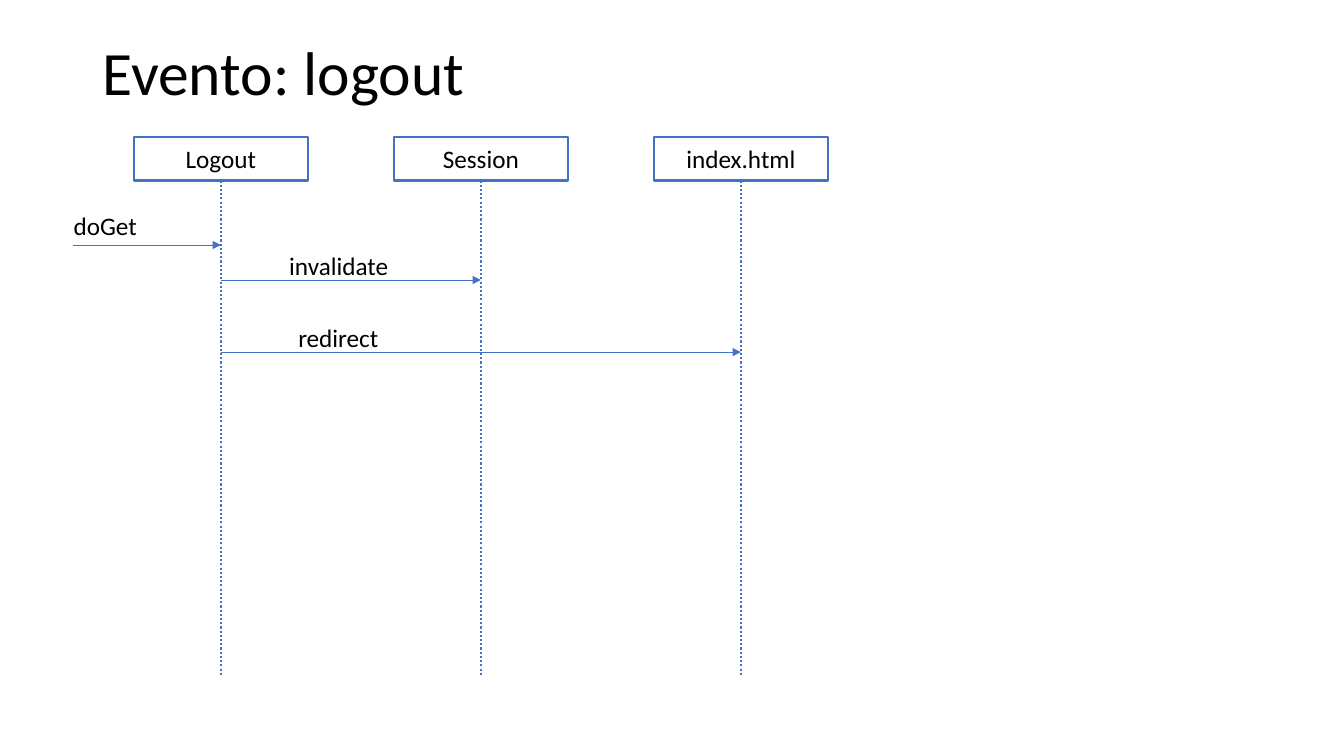
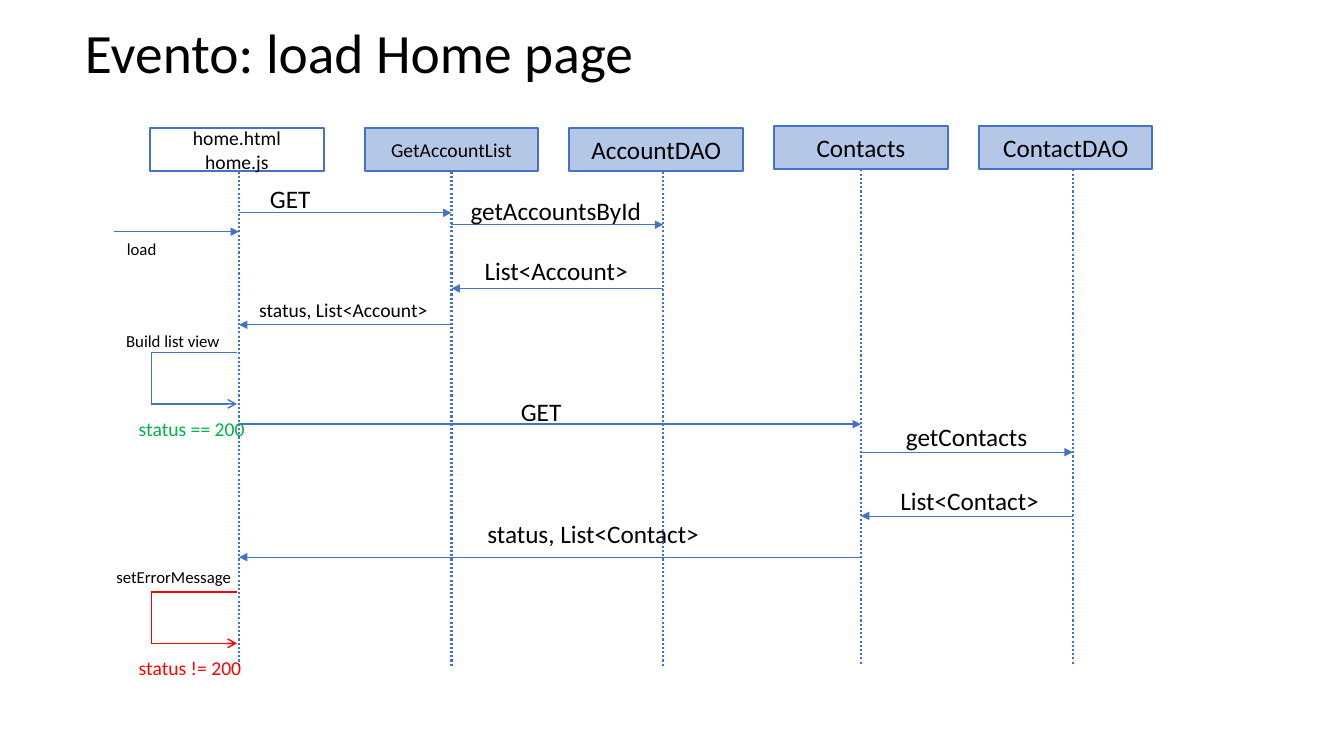
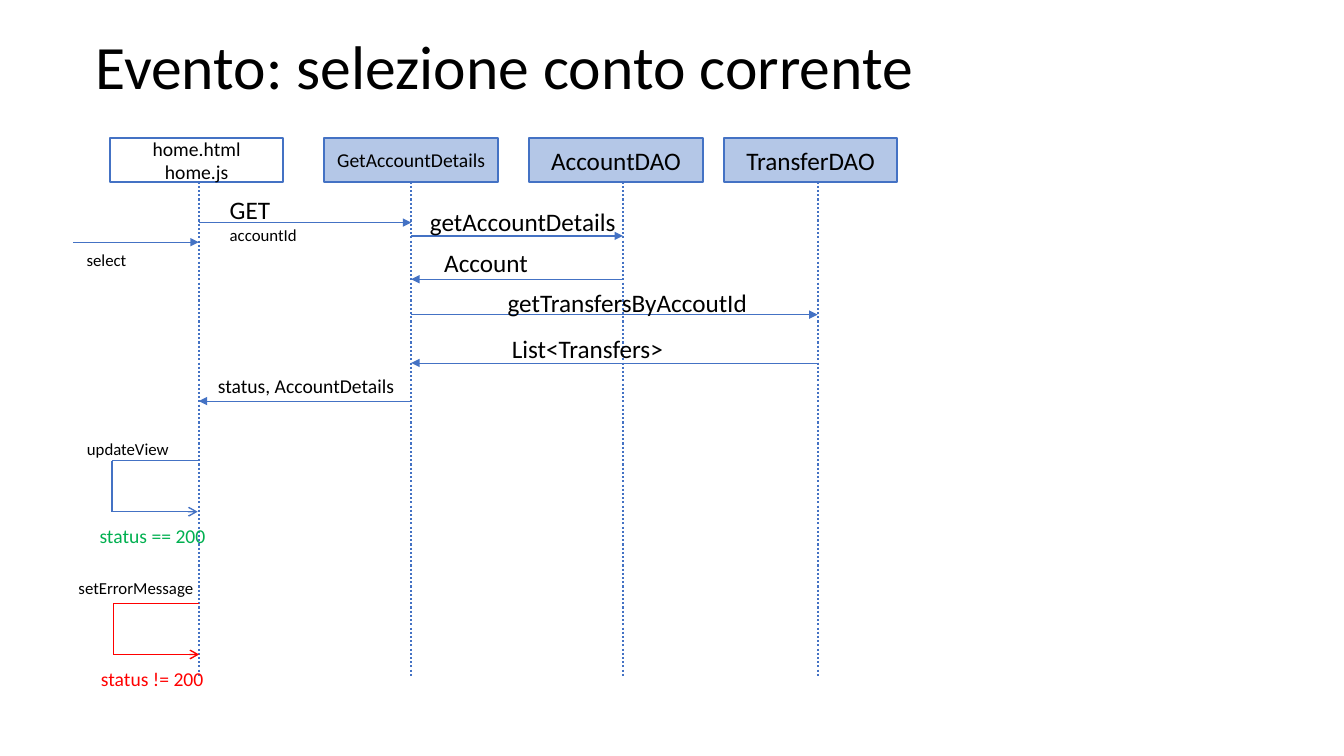
from lxml import etree
from pptx import Presentation
from pptx.dml.color import RGBColor
from pptx.enum.dml import MSO_LINE
from pptx.enum.shapes import MSO_CONNECTOR, MSO_SHAPE
from pptx.enum.text import MSO_ANCHOR, MSO_AUTO_SIZE, PP_ALIGN
from pptx.oxml.ns import qn
from pptx.util import Pt

STRAIGHT = MSO_CONNECTOR.STRAIGHT
RECTANGLE = MSO_SHAPE.RECTANGLE
DOTTED = MSO_LINE.ROUND_DOT
MIDDLE = MSO_ANCHOR.MIDDLE
LEFT, CENTER = PP_ALIGN.LEFT, PP_ALIGN.CENTER
FIXED, GROW = MSO_AUTO_SIZE.NONE, MSO_AUTO_SIZE.SHAPE_TO_FIT_TEXT

FONT = "Calibri"
BLACK, BLUE, PALE, RED, GREEN = "000000", "4472C4", "B4C7E7", "FF0000", "00B050"
BOX_WIDTH, BOX_HEIGHT, LIFELINE_LENGTH = 124, 31, 353.5
LOOP_WIDTH, LOOP_HEIGHT = 61.25, 36.5
BOTTOM_SIDE = 2
OUTSIDE = None

# Outcome: guard text, colour, offset of the action label from the loop corner
SUCCESS = ("status == 200", GREEN, (-25, -19))
FAILURE = ("status != 200", RED, (-32, -22))

# title: text, left, top, height, size
# participants: text, left, top, lifeline offset from the box centre, fill, size
# messages: sender, receiver, y, line width, label
# label: text, left, top, width, size and, if it differs, size of further lines
# loops: left, top, outcome, action, action width
DIAGRAMS = [
    {
        "title": ("Evento: logout", 66, 16.5, 75, 44),
        "entry": 52.5,
        "participants": [
            ("Logout", 95.75, 98, 0, None, 18),
            ("Session", 281.5, 98, 0, None, 18),
            ("index.html", 467.25, 98, 0, None, 18),
        ],
        "messages": [
            (OUTSIDE, 0, 175, 0.5, ("doGet", 45.5, 147, 60.5, 18)),
            (0, 1, 200, 0.5, ("invalidate", 199.5, 175, 86.5, 18)),
            (0, 2, 251.5, 0.5, ("redirect", 206, 227, 72.5, 18)),
        ],
        "loops": [],
    },
    {
        "title": ("Evento: load Home page", 53.5, 13.5, 52, 39.6),
        "entry": 81.5,
        "participants": [
            ("home.html\nhome.js", 107.25, 91.5, 1.5, None, 14),
            ("GetAccountList", 260.5, 91.5, 0, PALE, 14),
            ("AccountDAO", 406.75, 91.5, 5, PALE, 18),
            ("Contacts", 553, 90, 0, PALE, 18),
            ("ContactDAO", 699.25, 90, 5, PALE, 18),
        ],
        "messages": [
            (OUTSIDE, 0, 165.5, 0.5, ("load", 83.5, 167, 36, 12)),
            (0, 1, 152, 1, ("GET", 185.75, 127.5, 52, 18)),
            (1, 2, 160.5, 1, ("getAccountsById", 329, 136, 137.5, 18)),
            (2, 1, 206, 0.5, ("List<Account>", 339, 179, 118, 18)),
            (1, 0, 232, 0.5, ("status, List<Account>", 178, 209.5, 136, 14)),
            (0, 3, 303, 1, ("GET", 365, 279.5, 52, 18)),
            (3, 4, 323, 0.5, ("getContacts", 640, 297.5, 106, 18)),
            (4, 3, 368.5, 0.5, ("List<Contact>", 636, 343, 120, 18)),
            (3, 0, 398, 0.5, ("status, List<Contact>", 341, 367, 211.5, 18)),
        ],
        "loops": [
            (108, 252, SUCCESS, "Build list view", 82),
            (108, 423, FAILURE, "setErrorMessage", 97),
        ],
    },
    {
        "title": ("Evento: selezione conto corrente", 61, 17, 65, 44),
        "entry": 52.5,
        "participants": [
            ("home.html\nhome.js", 78.5, 98.75, 1.5, None, 14),
            ("GetAccountDetails", 231.75, 98.75, 0, PALE, 14),
            ("AccountDAO", 378, 98.75, 5, PALE, 18),
            ("TransferDAO", 517, 98.75, 5, PALE, 18),
        ],
        "messages": [
            (OUTSIDE, 0, 173, 0.5, ("select", 54.75, 174.5, 43, 12)),
            (0, 1, 159, 1, ("GET\naccountId", 157, 135.25, 71, 18, 12)),
            (1, 2, 168.5, 1, ("getAccountDetails", 300, 144, 148.5, 18)),
            (2, 1, 199.5, 0.5, ("Account", 310.25, 173, 75, 18)),
            (1, 3, 224.75, 0.5, ("getTransfersByAccoutId", 355.5, 201.5, 187, 18)),
            (3, 1, 259.25, 0.5, ("List<Transfers>", 358.5, 234.75, 124, 18)),
            (1, 0, 286.5, 0.5, ("status, AccountDetails", 148.5, 263.5, 142, 14)),
        ],
        "loops": [
            (80, 329, SUCCESS, "updateView", 73.5),
            (81, 431, FAILURE, "setErrorMessage", 97),
        ],
    },
]


def rgb(color):
    return RGBColor.from_string(color)


def write_text(frame, text, size, color=BLACK, align=LEFT, detail_size=None):
    """Write one paragraph a line; lines after the first may have their own size."""
    for number, line in enumerate(text.split("\n")):
        para = frame.add_paragraph() if number else frame.paragraphs[0]
        para.text = line
        para.alignment = align
        para.font.name = FONT
        para.font.size = Pt(detail_size if number and detail_size else size)
        para.font.color.rgb = rgb(color)


def add_line(shapes, start, end, color, width, head=None):
    line = shapes.add_connector(STRAIGHT, *(Pt(value) for value in start + end))
    line.line.color.rgb = rgb(color)
    line.line.width = Pt(width)
    if head:
        etree.SubElement(line.line._get_or_add_ln(), qn("a:tailEnd"), type=head)
    etree.SubElement(line._element.spPr, qn("a:effectLst"))
    return line


def add_title(page, text, left, top, height, size):
    title = page.shapes.title
    title.left, title.top = Pt(left), Pt(top)
    title.width, title.height = Pt(828), Pt(height)
    frame = title.text_frame
    frame.auto_size = FIXED
    frame.vertical_anchor = MIDDLE
    write_text(frame, text, size)
    frame.paragraphs[0].line_spacing = 0.9


def add_label(page, text, left, top, width, size, detail_size=None, color=BLACK):
    height = 7.2 + 1.2 * size
    box = page.shapes.add_textbox(Pt(left), Pt(top), Pt(width), Pt(height))
    box.text_frame.word_wrap = False
    box.text_frame.auto_size = GROW
    write_text(box.text_frame, text, size, color, detail_size=detail_size)


def add_participant(page, text, left, top, offset, fill, size):
    """Draw the box with its lifeline and return the lifeline's x."""
    box = page.shapes.add_shape(
        RECTANGLE, Pt(left), Pt(top), Pt(BOX_WIDTH), Pt(BOX_HEIGHT))
    box.shadow.inherit = False
    if fill:
        box.fill.solid()
        box.fill.fore_color.rgb = rgb(fill)
    else:
        box.fill.background()
    box.line.color.rgb = rgb(BLUE)
    box.line.width = Pt(1.5)
    box.text_frame.word_wrap = True
    box.text_frame.vertical_anchor = MIDDLE
    write_text(box.text_frame, text, size, align=CENTER)

    x, bottom = left + BOX_WIDTH / 2 + offset, top + BOX_HEIGHT
    lifeline = add_line(
        page.shapes, (x, bottom), (x, bottom + LIFELINE_LENGTH), BLUE, 1.5)
    lifeline.line.dash_style = DOTTED
    if not offset:
        lifeline.begin_connect(box, BOTTOM_SIDE)
    return x


def add_loop(page, left, top, outcome, action, action_width):
    """Draw a call from the first participant to itself."""
    guard, color, (shift_x, shift_y) = outcome
    right, bottom = left + LOOP_WIDTH, top + LOOP_HEIGHT
    line_color = RED if outcome is FAILURE else BLUE
    corners = [(right, top), (left, top), (left, bottom), (right, bottom)]
    group = page.shapes.add_group_shape()
    for start, end, head in zip(corners, corners[1:], (None, None, "arrow")):
        add_line(group.shapes, start, end, line_color, 1, head)
    add_label(page, action, left + shift_x, top + shift_y, action_width, 12)
    add_label(page, guard, left - 16, bottom + 5.5, 90, 14, color=color)


def add_diagram(deck, diagram):
    page = deck.slides.add_slide(deck.slide_layouts[5])
    add_title(page, *diagram["title"])
    lifelines = [add_participant(page, *item) for item in diagram["participants"]]
    for sender, receiver, y, width, label in diagram["messages"]:
        start = diagram["entry"] if sender is OUTSIDE else lifelines[sender]
        add_line(page.shapes, (start, y), (lifelines[receiver], y),
                 BLUE, width, "triangle")
        add_label(page, *label)
    for loop in diagram["loops"]:
        add_loop(page, *loop)


def main():
    deck = Presentation()
    deck.slide_width, deck.slide_height = Pt(960), Pt(540)
    for diagram in DIAGRAMS:
        add_diagram(deck, diagram)
    deck.save("out.pptx")


if __name__ == "__main__":
    main()
